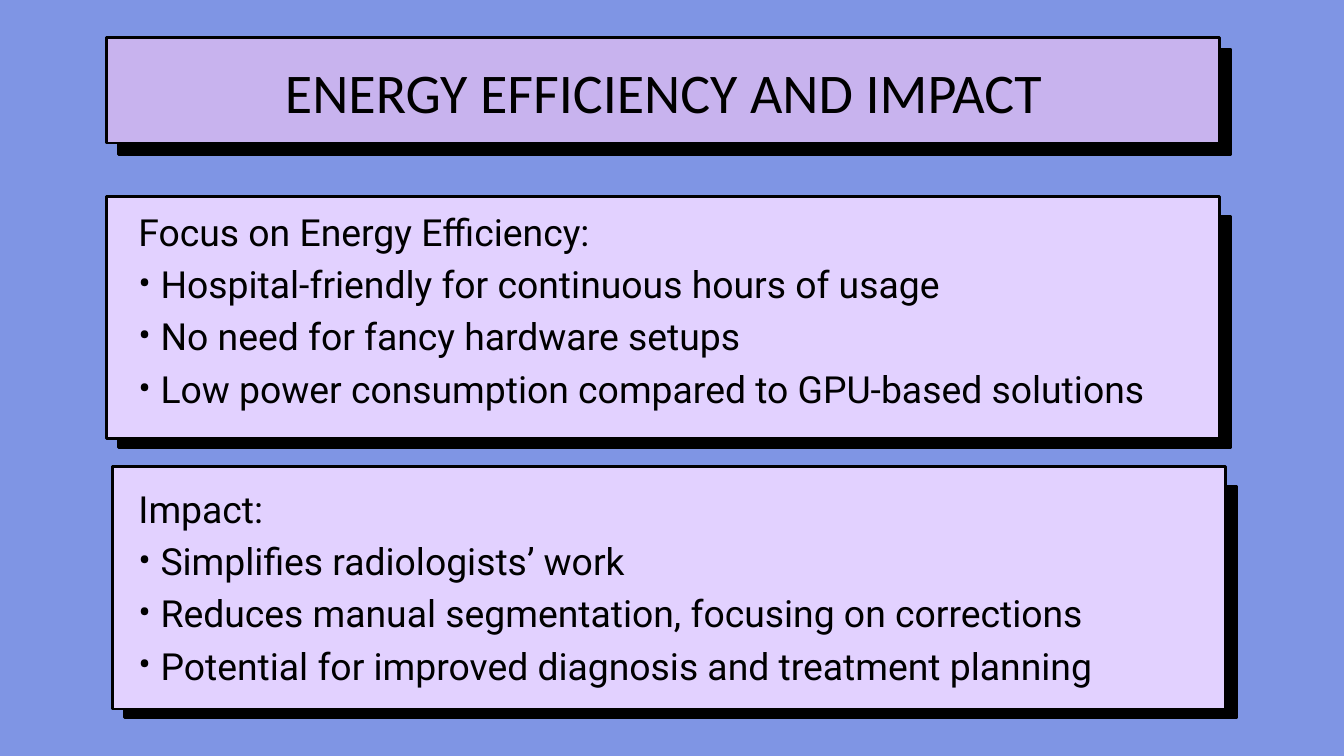
from dataclasses import dataclass

from lxml.etree import SubElement
from pptx import Presentation
from pptx.dml.color import RGBColor
from pptx.enum.shapes import MSO_SHAPE
from pptx.enum.text import PP_ALIGN
from pptx.oxml.ns import qn
from pptx.slide import Slide
from pptx.util import Inches, Pt


@dataclass(frozen=True)
class Theme:
    background: str = "7F95E4"
    ink: str = "000000"
    title_fill: str = "C8B3EE"
    panel_fill: str = "E2D1FF"
    outline: float = 3
    title_font: str = "Calibri"
    title_size: int = 60
    title_leading: int = 72
    body_font: str = "Roboto"
    body_size: int = 40
    body_leading: int = 56
    bullet_indent: float = 0.33


@dataclass(frozen=True)
class Card:
    left: float
    top: float
    height: float
    fill: str
    shadow_drop: float
    shadow_height: float


@dataclass(frozen=True)
class Section:
    card: Card
    text_top: float
    heading: str
    points: tuple[str, ...]


THEME = Theme()
CARD_WIDTH = 16.56
SHADOW_SHIFT = 0.17

TITLE_CARD = Card(1.59, 0.56, 1.57, THEME.title_fill, 0.17, 1.57)
SECTIONS = (
    Section(
        Card(1.59, 2.92, 3.61, THEME.panel_fill, 0.3, 3.44),
        3,
        "Focus on Energy Efficiency:",
        (
            "Hospital-friendly for continuous hours of usage",
            "No need for fancy hardware setups",
            "Low power consumption compared to GPU-based solutions",
        ),
    ),
    Section(
        Card(1.68, 6.94, 3.61, THEME.panel_fill, 0.3, 3.44),
        7.12,
        "Impact:",
        (
            "Simplifies radiologists’ work",
            "Reduces manual segmentation, focusing on corrections",
            "Potential for improved diagnosis and treatment planning",
        ),
    ),
)


def add_block(page: Slide, left: float, top: float, height: float, fill: str) -> None:
    block = page.shapes.add_shape(
        MSO_SHAPE.RECTANGLE, Inches(left), Inches(top), Inches(CARD_WIDTH), Inches(height)
    )
    block.shadow.inherit = False
    block.fill.solid()
    block.fill.fore_color.rgb = RGBColor.from_string(fill)
    block.line.color.rgb = RGBColor.from_string(THEME.ink)
    block.line.width = Pt(THEME.outline)


def add_card(page: Slide, card: Card) -> None:
    """Draw a panel in front of its solid offset shadow."""
    add_block(page, card.left + SHADOW_SHIFT, card.top + card.shadow_drop,
              card.shadow_height, THEME.ink)
    add_block(page, card.left, card.top, card.height, card.fill)


def add_text_frame(page: Slide, left: float, top: float, width: float, height: float):
    box = page.shapes.add_textbox(Inches(left), Inches(top), Inches(width), Inches(height))
    frame = box.text_frame
    frame.word_wrap = True
    frame.margin_left = frame.margin_top = frame.margin_right = frame.margin_bottom = 0
    return frame


def style_paragraph(para, font: str, size: int, leading: int) -> None:
    para.line_spacing = Pt(leading)
    for span in para.runs:
        span.font.name = font
        span.font.size = Pt(size)
        span.font.color.rgb = RGBColor.from_string(THEME.ink)


def add_bullet(para) -> None:
    properties = para._p.get_or_add_pPr()
    indent = Inches(THEME.bullet_indent)
    properties.set("marL", str(indent))
    properties.set("indent", str(-indent))
    SubElement(properties, qn("a:buFont"), typeface=THEME.body_font)
    SubElement(properties, qn("a:buChar"), char="•")


def add_title(page: Slide, text: str) -> None:
    add_card(page, TITLE_CARD)
    frame = add_text_frame(page, 2.64, 0.86, 14.47, 1.01)
    frame.text = text
    para = frame.paragraphs[0]
    para.alignment = PP_ALIGN.CENTER
    style_paragraph(para, THEME.title_font, THEME.title_size, THEME.title_leading)


def add_section(page: Slide, section: Section) -> None:
    add_card(page, section.card)
    frame = add_text_frame(page, 2.06, section.text_top, 15.63, 3.18)
    frame.text = "\n".join((section.heading, *section.points))
    for para in frame.paragraphs[1:]:
        add_bullet(para)
    for para in frame.paragraphs:
        style_paragraph(para, THEME.body_font, THEME.body_size, THEME.body_leading)


def main() -> None:
    deck = Presentation()
    deck.slide_width, deck.slide_height = Inches(20), Inches(11.25)
    page = deck.slides.add_slide(deck.slide_layouts[6])

    # Background
    page.background.fill.solid()
    page.background.fill.fore_color.rgb = RGBColor.from_string(THEME.background)

    # Title banner and the two text panels
    add_title(page, "ENERGY EFFICIENCY AND IMPACT")
    for section in SECTIONS:
        add_section(page, section)

    deck.save("out.pptx")


if __name__ == "__main__":
    main()
